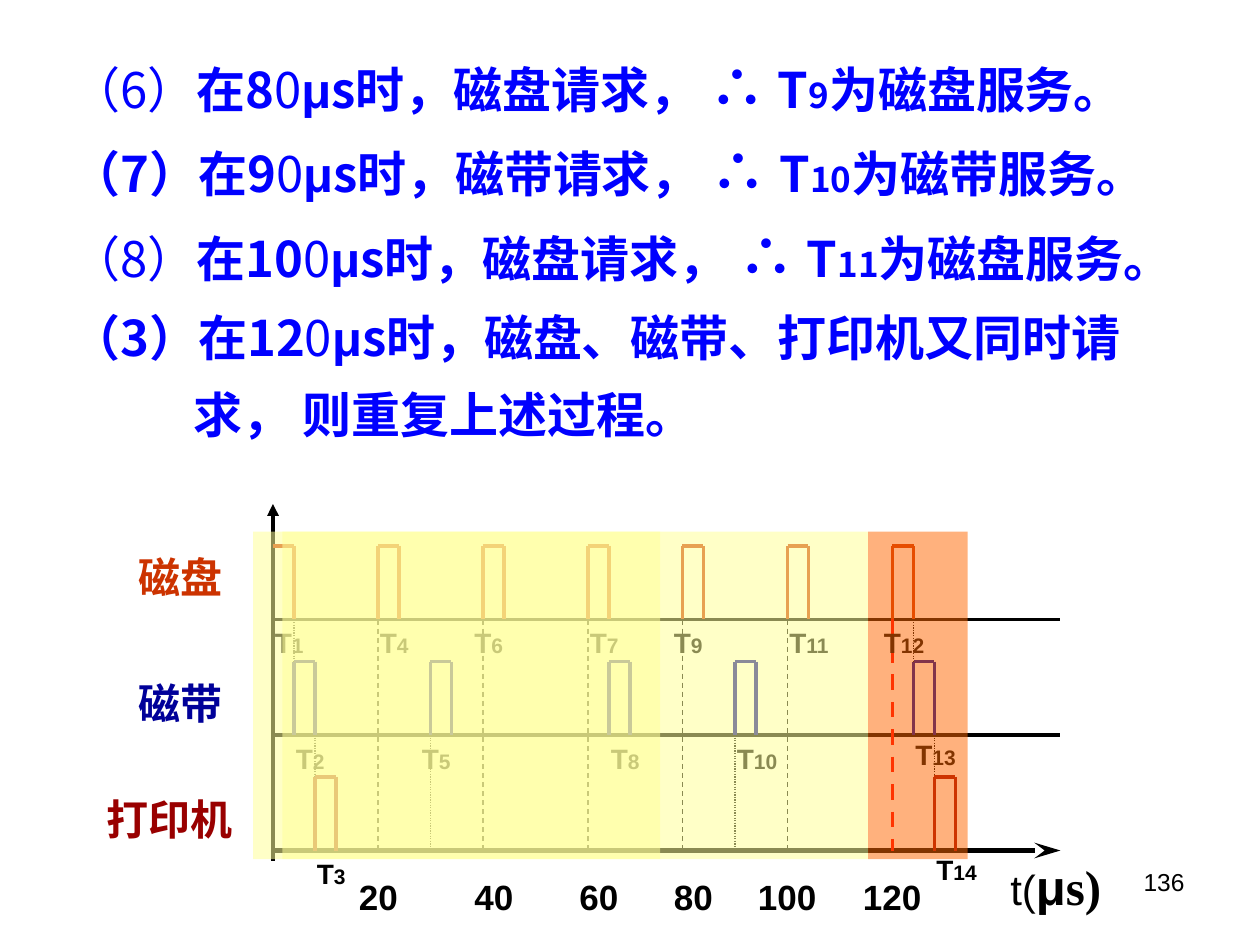
from dataclasses import dataclass
from lxml.etree import SubElement
from pptx import Presentation
from pptx.dml.color import RGBColor
from pptx.enum.dml import MSO_LINE_DASH_STYLE as DASH
from pptx.enum.shapes import MSO_CONNECTOR, MSO_SHAPE
from pptx.enum.text import MSO_AUTO_SIZE, PP_ALIGN
from pptx.oxml.ns import qn
from pptx.util import Inches, Pt


@dataclass(frozen=True)
class Theme:
    latin: str = "Arial"
    cjk: str = "Noto Sans CJK SC"
    serif: str = "Times New Roman"
    black: str = "000000"
    body: str = "0000FF"
    disk: str = "CC3300"
    tape: str = "000099"
    printer: str = "990000"
    marker: str = "FF0000"
    past: str = "FFFF99"
    current: str = "FF6600"
    body_size: int = 28
    symbol_size: int = 32
    sub_size: int = 20
    device_size: int = 24
    tick_size: int = 20
    job_size: int = 16
    job_sub_size: int = 12
    page_size: int = 14
    thin: float = 0.75
    medium: float = 2.25
    thick: float = 3


T = Theme()

# number, number is bold, time before its last zero, device, job
STEPS = [
    ("（6）", False, "8", "磁盘", "9"),
    ("（7）", True, "9", "磁带", "10"),
    ("（8）", False, "10", "磁盘", "11"),
]

# The diagram lies on a grid of twelfths of an inch.
GRID = 1 / 12
AXIS_X, END_X = 26, 101
PULSE_W, PULSE_H = 2, 7

# name, colour, baseline, name box (left, top, width in inches),
# jobs as (number, pulse left, label left, label shift up in inches)
DEVICES = [
    ("磁盘", T.disk, 59, (1, 4.33, 0.92),
     [(1, 26, 25, 0), (4, 36, 35, 0), (6, 46, 44, 0), (7, 56, 55, 0),
      (9, 65, 63, 0), (11, 75, 74, 0), (12, 85, 83, 0)]),
    ("磁带", T.tape, 70, (1, 5.33, 0.92),
     [(2, 28, 27, 0), (5, 41, 39, 0), (8, 58, 57, 0), (10, 70, 69, 0), (13, 87, 86, 0.03)]),
    ("打印机", T.printer, 81, (0.75, 6.25, 1.25),
     [(3, 30, 29, 0), (14, 89, 88, 0.03)]),
]
DISK_Y, TAPE_Y, PRINTER_Y = (device[2] for device in DEVICES)

# x, top, bottom, dash, colour, width
GUIDES = [(x, DISK_Y, PRINTER_Y, DASH.DASH, T.black, T.thin) for x in (36, 46, 56, 65, 75)]
GUIDES += [(85, DISK_Y, PRINTER_Y, DASH.DASH, T.marker, T.medium)]
GUIDES += [(x, TAPE_Y, PRINTER_Y, DASH.ROUND_DOT, T.black, T.thin) for x in (41, 70)]
GUIDES += [(x, top, top + 4, DASH.ROUND_DOT, T.black, T.thin)
           for x, top in ((28, DISK_Y), (30, TAPE_Y), (87, DISK_Y), (89, TAPE_Y))]

TICKS = [("20", 33, 8), ("40", 44, 8), ("60", 54, 8), ("80", 63, 8),
         ("100", 71, 10), ("120", 81, 10)]

# left, width, colour, opacity in percent
BANDS = [(2.01, 3.23, T.past, 54), (2.24, 4.65, T.past, 54), (6.89, 0.79, T.current, 51)]


def add_run(p, text, size, color=T.black, bold=True, font=T.latin):
    r = p.add_run()
    r.text = text
    r.font.size, r.font.bold, r.font.name = Pt(size), bold, font
    r.font.color.rgb = RGBColor.from_string(color)
    SubElement(r.font._element, qn("a:ea")).set("typeface", T.cjk)


def add_text(shapes, left, top, width, height, runs=()):
    """Add a wrapping text box; each run is the arguments of add_run."""
    tf = shapes.add_textbox(*map(Inches, (left, top, width, height))).text_frame
    tf.word_wrap = True
    tf.auto_size = MSO_AUTO_SIZE.SHAPE_TO_FIT_TEXT
    for run in runs:
        add_run(tf.paragraphs[0], *run)
    return tf


def add_line(shapes, x1, y1, x2, y2, color=T.black, width=T.medium, dash=None,
             arrow=None, arrow_length="med"):
    """Draw a line between grid points; arrow is the kind of head at its end."""
    ends = [Inches(v * GRID) for v in (x1, y1, x2, y2)]
    line = shapes.add_connector(MSO_CONNECTOR.STRAIGHT, *ends)
    line.line.color.rgb = RGBColor.from_string(color)
    line.line.width = Pt(width)
    if dash:
        line.line.dash_style = dash
    if arrow:
        head = SubElement(line.line._get_or_add_ln(), qn("a:tailEnd"))
        head.set("type", arrow)
        head.set("len", arrow_length)
    SubElement(line._element.spPr, qn("a:effectLst"))


def add_pulse(shapes, x, base, color):
    group = shapes.add_group_shape().shapes
    right, top = x + PULSE_W, base - PULSE_H
    add_line(group, x, top, right, top, color)
    add_line(group, right, top, right, base, color)
    if x != AXIS_X:
        add_line(group, x, base, x, top, color)


def add_steps(shapes):
    tf = add_text(shapes, 0.47, 0.47, 9.23, 3.48)
    paragraphs = [tf.paragraphs[0]] + [tf.add_paragraph() for _ in range(4)]
    for i, p in enumerate(paragraphs):
        p.line_spacing = 0.8
        p._p.get_or_add_pPr().set("hangingPunct", "0")
        if i:
            p.space_before = Pt(17.5)

    def write(p, text, size=T.body_size, bold=True, font=T.cjk):
        add_run(p, text, size, T.body, bold, font)

    def write_time(p, number, number_bold, lead):
        write(p, number, bold=number_bold)
        write(p, "在" + lead)
        write(p, "0", bold=False)
        write(p, "μ", font=T.latin)

    for p, (number, number_bold, lead, device, job) in zip(paragraphs, STEPS):
        write_time(p, number, number_bold, lead)
        write(p, f"s时，{device}请求， ")
        write(p, "∴ ", T.symbol_size, font=T.latin)
        write(p, "T")
        write(p, job, T.sub_size)
        write(p, f"为{device}服务。")
    write_time(paragraphs[3], "（3）", True, "12")
    write(paragraphs[3], "s时，磁盘、磁带、打印机又同时请")
    write(paragraphs[4], "求， 则重复上述过程。")
    paragraphs[4]._p.get_or_add_pPr().set("marL", str(Inches(0.97)))


def add_diagram(shapes):
    for y in (DISK_Y, TAPE_Y):
        add_line(shapes, AXIS_X, y, END_X, y)
    add_line(shapes, AXIS_X, PRINTER_Y, END_X, PRINTER_Y, width=T.thick,
             arrow="stealth", arrow_length="lg")
    add_line(shapes, AXIS_X, 82, AXIS_X, 48, arrow="triangle")
    for x, top, bottom, dash, color, width in GUIDES:
        add_line(shapes, x, top, x, bottom, color, width, dash)
    for label, x, width in TICKS:
        add_text(shapes, x * GRID, 6.9, width * GRID, 0.44, [(label, T.tick_size)])
    add_text(shapes, 7.92, 6.75, 1, 0.57,
             [("t(", T.device_size, T.black, False), ("μ", T.body_size),
              ("s)", T.body_size, T.black, True, T.serif)])
    for name, color, base, box, jobs in DEVICES:
        add_text(shapes, *box, 0.5, [(name, T.device_size, color)])
        for job, x, label_x, shift in jobs:
            add_pulse(shapes, x, base, color)
            add_text(shapes, label_x * GRID, base * GRID - shift, 0.58, 0.37,
                     [("T", T.job_size), (str(job), T.job_sub_size)])
    for left, width, color, opacity in BANDS:
        sp = shapes.add_shape(MSO_SHAPE.RECTANGLE, *map(Inches, (left, 4.22, width, 2.6)))
        sp.shadow.inherit = False
        sp.line.fill.background()
        sp.fill.solid()
        sp.fill.fore_color.rgb = RGBColor.from_string(color)
        rgb = sp._element.spPr.find(".//" + qn("a:srgbClr"))
        SubElement(rgb, qn("a:alpha")).set("val", str(opacity * 1000))


def main():
    prs = Presentation()
    prs.slide_width, prs.slide_height = Inches(10), Inches(7.5)
    shapes = prs.slides.add_slide(prs.slide_layouts[6]).shapes
    page = add_text(shapes, 7.17, 6.83, 2.33, 0.52, [("136", T.page_size, T.black, False)])
    page.auto_size = MSO_AUTO_SIZE.NONE
    page.paragraphs[0].alignment = PP_ALIGN.RIGHT
    add_steps(shapes)
    add_diagram(shapes)
    prs.save("out.pptx")


if __name__ == "__main__":
    main()
